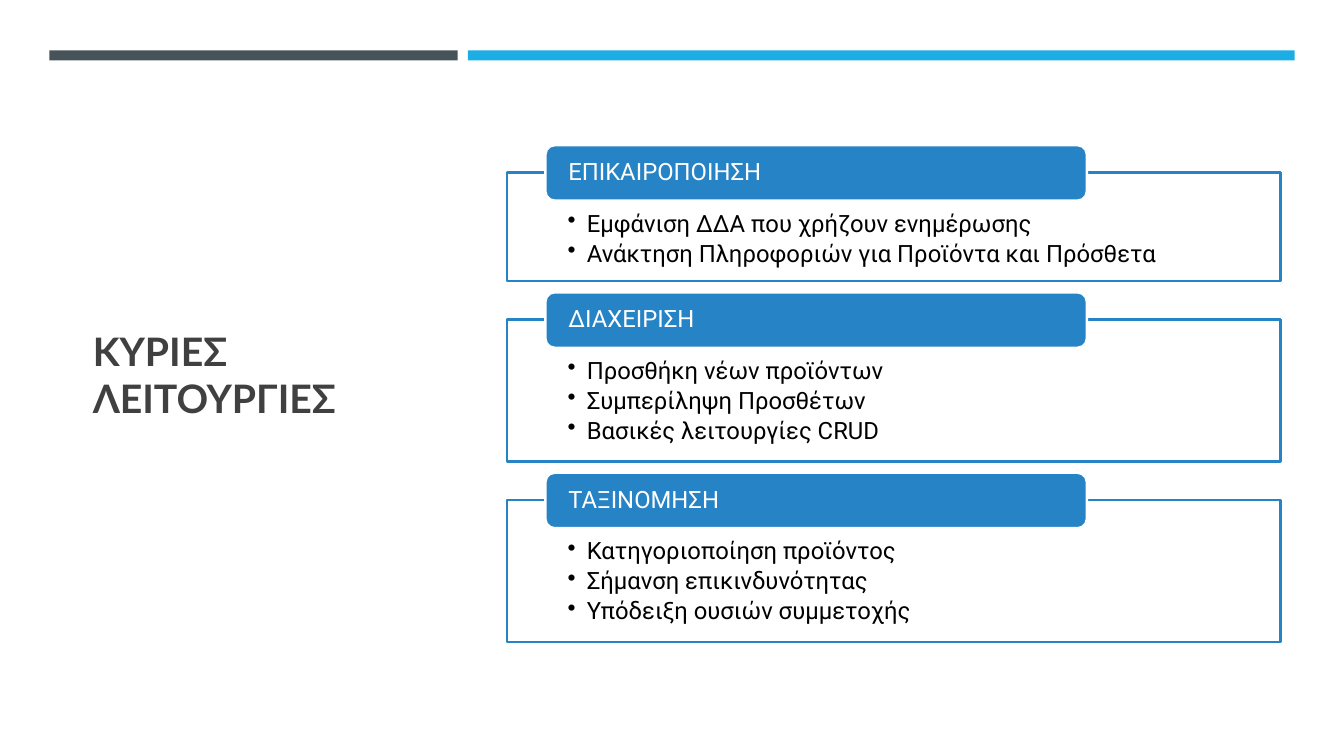
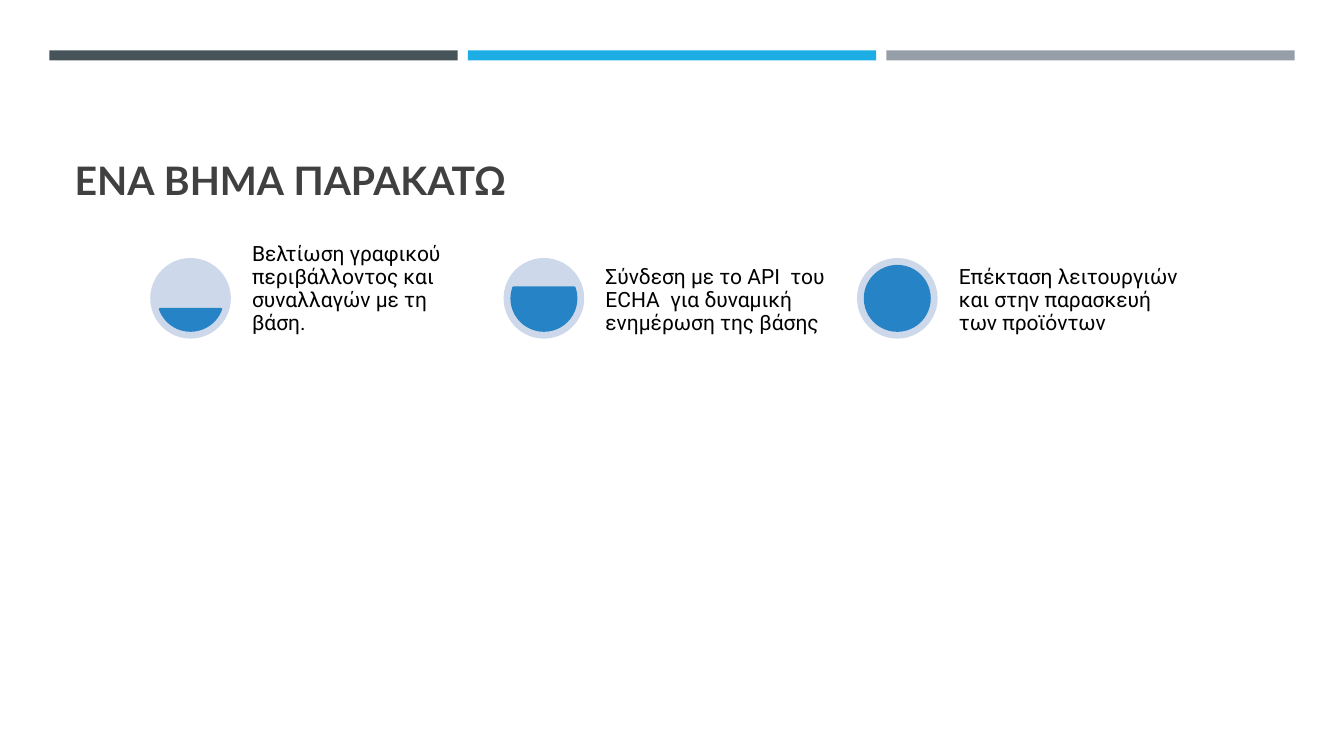
from math import asin, degrees

from lxml import etree
from pptx import Presentation
from pptx.dml.color import RGBColor
from pptx.enum.shapes import MSO_SHAPE
from pptx.enum.text import MSO_ANCHOR, MSO_AUTO_SIZE, PP_ALIGN
from pptx.oxml.ns import qn
from pptx.util import Inches, Pt

# Shared style
WHITE = RGBColor(0xFF, 0xFF, 0xFF)
BLACK = RGBColor(0x00, 0x00, 0x00)
TITLE_GREY = RGBColor(0x40, 0x40, 0x40)
SLATE = RGBColor(0x46, 0x53, 0x59)
SKY = RGBColor(0x1C, 0xAD, 0xE4)
SILVER = RGBColor(0x96, 0x9F, 0xA7)
BLUE = RGBColor(0x26, 0x83, 0xC6)
PALE_BLUE = RGBColor(0xCD, 0xD9, 0xEA)
TITLE_FONT, BODY_FONT = "Lato", "Roboto"
OUTLINE = 1.75

# Content
FUNCTIONS_TITLE = "ΚΥΡΙΕΣ ΛΕΙΤΟΥΡΓΙΕΣ"
FUNCTIONS = [
    ("ΕΠΙΚΑΙΡΟΠΟΙΗΣΗ", ["Εμφάνιση ΔΔΑ που χρήζουν ενημέρωσης",
                        "Ανάκτηση Πληροφοριών για Προϊόντα και Πρόσθετα"]),
    ("ΔΙΑΧΕΙΡΙΣΗ", ["Προσθήκη νέων προϊόντων",
                    "Συμπερίληψη Προσθέτων",
                    "Βασικές λειτουργίες CRUD"]),
    ("ΤΑΞΙΝΟΜΗΣΗ", ["Κατηγοριοποίηση προϊόντος",
                    "Σήμανση επικινδυνότητας",
                    "Υπόδειξη ουσιών συμμετοχής"]),
]
STEPS_TITLE = "ΕΝΑ ΒΗΜΑ ΠΑΡΑΚΑΤΩ"
STEPS = [
    "Βελτίωση γραφικού περιβάλλοντος και συναλλαγών με τη βάση.",
    "Σύνδεση με το API  του ECHA  για δυναμική ενημέρωση της βάσης",
    "Επέκταση λειτουργιών και στην παρασκευή των προϊόντων",
]

# Each band: colour and number of columns it spans
FUNCTIONS_BANDS = [(SLATE, 1), (SKY, 2)]
STEPS_BANDS = [(SLATE, 1), (SKY, 1), (SILVER, 1)]


def write(shape, lines, *, size, color, font=BODY_FONT, bold=False,
          anchor=MSO_ANCHOR.MIDDLE, insets=(0.1, 0.05, 0.1, 0.05),
          spacing=0.9, after=0, bullet=False):
    """Fill a shape with left-aligned paragraphs."""
    frame = shape.text_frame
    frame.word_wrap = True
    frame.auto_size = MSO_AUTO_SIZE.NONE
    frame.vertical_anchor = anchor
    (frame.margin_left, frame.margin_top,
     frame.margin_right, frame.margin_bottom) = map(Inches, insets)
    for index, line in enumerate(lines):
        paragraph = frame.add_paragraph() if index else frame.paragraphs[0]
        paragraph.alignment = PP_ALIGN.LEFT
        paragraph.line_spacing = spacing
        paragraph.space_after = Pt(after)
        run = paragraph.add_run()
        run.text = line
        run.font.name, run.font.size, run.font.bold = font, Pt(size), bold
        run.font.color.rgb = color
        if bullet:
            properties = paragraph._p.get_or_add_pPr()
            properties.set("marL", str(Inches(0.19)))
            properties.set("indent", str(-Inches(0.19)))
            etree.SubElement(properties, qn("a:buChar")).set("char", "•")


def add_part(slide, kind, left, top, width, height, fill, line=None):
    part = slide.shapes.add_shape(
        kind, Inches(left), Inches(top), Inches(width), Inches(height))
    part.shadow.inherit = False
    part.fill.solid()
    part.fill.fore_color.rgb = fill
    if line is None:
        part.line.fill.background()
    else:
        part.line.color.rgb = line
        part.line.width = Pt(OUTLINE)
    return part


def add_titled_slide(deck, text, place, anchor, bands):
    slide = deck.slides.add_slide(deck.slide_layouts[5])
    title = slide.shapes.title
    title.left, title.top, title.width, title.height = map(Inches, place)
    write(title, [text], size=28, color=TITLE_GREY, font=TITLE_FONT,
          bold=True, anchor=anchor, spacing=1.0)
    # Bands on a three-column grid
    column, gap, left = 4.05, 0.1, 0.49
    for color, span in bands:
        width = span * column + (span - 1) * gap
        add_part(slide, MSO_SHAPE.RECTANGLE, left, 0.5, width, 0.1, color)
        left += width + gap
    return slide


def build_functions(deck):
    slide = add_titled_slide(deck, FUNCTIONS_TITLE, (0.82, 1.14, 3.34, 5.15),
                             MSO_ANCHOR.MIDDLE, FUNCTIONS_BANDS)
    top = 1.71
    for heading, items in FUNCTIONS:
        height = 0.42 + 0.33 * len(items)
        panel = add_part(slide, MSO_SHAPE.RECTANGLE, 5.03, top, 7.67, height,
                         WHITE, BLUE)
        write(panel, items, size=17, color=BLACK, anchor=MSO_ANCHOR.TOP,
              insets=(0.6, 0.39, 0.6, 0.13), after=3, bullet=True)
        header = add_part(slide, MSO_SHAPE.ROUNDED_RECTANGLE, 5.41, top - 0.27,
                          5.37, 0.55, BLUE, WHITE)
        write(header, [heading], size=17, color=WHITE, insets=(0.2, 0, 0.2, 0))
        top += height + 0.38


def build_steps(deck):
    slide = add_titled_slide(deck, STEPS_TITLE, (0.64, 0.77, 12.06, 1.3),
                             MSO_ANCHOR.BOTTOM, STEPS_BANDS)
    top, disc, rim = 2.56, 0.8, 0.08
    for index, step in enumerate(STEPS):
        left = 1.49 + 3.505 * index
        add_part(slide, MSO_SHAPE.OVAL, left, top, disc, disc, PALE_BLUE)
        # Disc filled up to the share of steps reached
        level = add_part(slide, MSO_SHAPE.CHORD, left + rim, top + rim,
                         disc - 2 * rim, disc - 2 * rim, BLUE, BLUE)
        angle = degrees(asin(1 - 2 * (index + 1) / len(STEPS)))
        # Adjustments count 60000ths of a degree, divided by 100000
        level.adjustments[0] = angle % 360 * 0.6
        level.adjustments[1] = (180 - angle) * 0.6
        label = slide.shapes.add_textbox(Inches(left + 0.97), Inches(top),
                                         Inches(2.37), Inches(disc))
        write(label, [step], size=15, color=BLACK, anchor=MSO_ANCHOR.BOTTOM,
              insets=(0.04,) * 4)


def main():
    deck = Presentation()
    deck.slide_width, deck.slide_height = Inches(13.33), Inches(7.5)
    build_functions(deck)
    build_steps(deck)
    deck.save("out.pptx")


if __name__ == "__main__":
    main()
